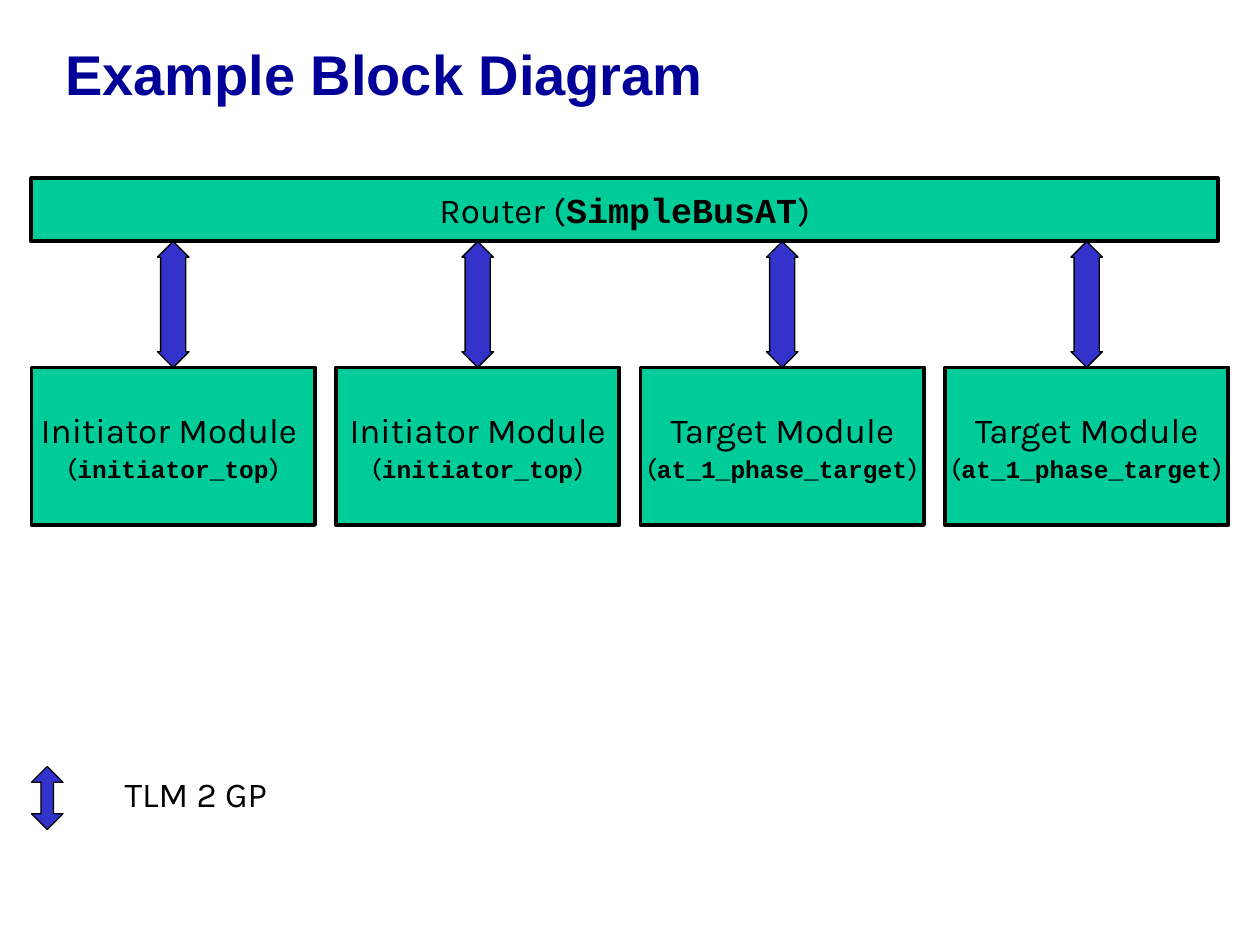
import pptx
import pptx.dml.color
import pptx.enum.shapes
import pptx.enum.text
import pptx.util

Pt = pptx.util.Pt
RGBColor = pptx.dml.color.RGBColor
MSO_SHAPE = pptx.enum.shapes.MSO_SHAPE
MSO_ANCHOR = pptx.enum.text.MSO_ANCHOR
PP_ALIGN = pptx.enum.text.PP_ALIGN

NAVY = RGBColor(0x00, 0x00, 0x99)
BLUE = RGBColor(0x33, 0x33, 0xCC)
GREEN = RGBColor(0x00, 0xCC, 0x99)
BLACK = RGBColor(0x00, 0x00, 0x00)

BODY_FONT = "Karla"
CODE_FONT = "Courier New"

LEFT = 18
MODULE_TOP = 210
MODULE_WIDTH = 162
MODULE_PITCH = 174
ROUTER_TOP = 102
ROUTER_HEIGHT = 36
ARROW_WIDTH = 18
ARROW_OFFSET = 72

MODULES = [
    ("Initiator Module ", "initiator_top"),
    ("Initiator Module", "initiator_top"),
    ("Target Module", "at_1_phase_target"),
    ("Target Module", "at_1_phase_target"),
]


def format_run(run, size, font=BODY_FONT, color=BLACK, bold=False):
    run.font.size = Pt(size)
    run.font.name = font
    run.font.color.rgb = color
    run.font.bold = bold


def add_label(paragraph, text, size):
    run = paragraph.add_run()
    run.text = text
    format_run(run, size)


def add_code(paragraph, name, size, bracket_size, prefix=""):
    """Add a bold code name in brackets."""
    add_label(paragraph, prefix + "(", bracket_size)
    run = paragraph.add_run()
    run.text = name
    format_run(run, size, CODE_FONT, bold=True)
    add_label(paragraph, ")", bracket_size)


def add_filled_shape(slide, kind, left, top, width, height, fill, line_width):
    shape = slide.shapes.add_shape(kind, Pt(left), Pt(top), Pt(width), Pt(height))
    shape.shadow.inherit = False
    shape.fill.solid()
    shape.fill.fore_color.rgb = fill
    shape.line.color.rgb = BLACK
    shape.line.width = Pt(line_width)
    return shape


def add_block(slide, left, top, width, height):
    """Add a green block and return its empty text frame."""
    block = add_filled_shape(slide, MSO_SHAPE.RECTANGLE, left, top, width, height, GREEN, 2.25)
    text_frame = block.text_frame
    text_frame.word_wrap = False
    text_frame.vertical_anchor = MSO_ANCHOR.MIDDLE
    text_frame.paragraphs[0].alignment = PP_ALIGN.CENTER
    return text_frame


def add_arrow(slide, left, top, height, head):
    arrow = add_filled_shape(slide, MSO_SHAPE.UP_DOWN_ARROW, left, top,
                             ARROW_WIDTH, height, BLUE, 0.75)
    arrow.adjustments[0] = 0.5
    arrow.adjustments[1] = head


def add_title(slide, text):
    title = slide.shapes.title
    title.left, title.top, title.width, title.height = Pt(30), Pt(0), Pt(684), Pt(90)
    title.text_frame.text = text
    title.text_frame.vertical_anchor = MSO_ANCHOR.MIDDLE
    paragraph = title.text_frame.paragraphs[0]
    paragraph.alignment = PP_ALIGN.LEFT
    paragraph.line_spacing = 0.85
    format_run(paragraph.runs[0], 32, "Arial", NAVY, True)


def add_router(slide):
    text_frame = add_block(slide, LEFT, ROUTER_TOP, 678, ROUTER_HEIGHT)
    add_code(text_frame.paragraphs[0], "SimpleBusAT", 20, 20, "Router ")


def add_module(slide, left, label, name):
    text_frame = add_block(slide, left, MODULE_TOP, MODULE_WIDTH, 90)
    add_label(text_frame.paragraphs[0], label, 20)
    paragraph = text_frame.add_paragraph()
    paragraph.alignment = PP_ALIGN.CENTER
    add_code(paragraph, name, 14, 16)


def add_legend(slide):
    top = 438
    add_arrow(slide, LEFT, top, 36, 0.4)
    box = slide.shapes.add_textbox(Pt(60.5), Pt(top), Pt(103), Pt(31.5))
    box.text_frame.word_wrap = False
    paragraph = box.text_frame.paragraphs[0]
    paragraph.alignment = PP_ALIGN.CENTER
    add_label(paragraph, "TLM 2 GP", 20)


def main():
    presentation = pptx.Presentation()
    presentation.slide_width, presentation.slide_height = Pt(720), Pt(540)
    slide = presentation.slides.add_slide(presentation.slide_layouts[5])

    add_title(slide, "Example Block Diagram")
    add_router(slide)

    # Modules, each joined to the router by an arrow
    arrow_top = ROUTER_TOP + ROUTER_HEIGHT
    for column, (label, name) in enumerate(MODULES):
        left = LEFT + column * MODULE_PITCH
        add_module(slide, left, label, name)
        add_arrow(slide, left + ARROW_OFFSET, arrow_top, MODULE_TOP - arrow_top, 0.8)

    add_legend(slide)
    presentation.save("out.pptx")


if __name__ == "__main__":
    main()
